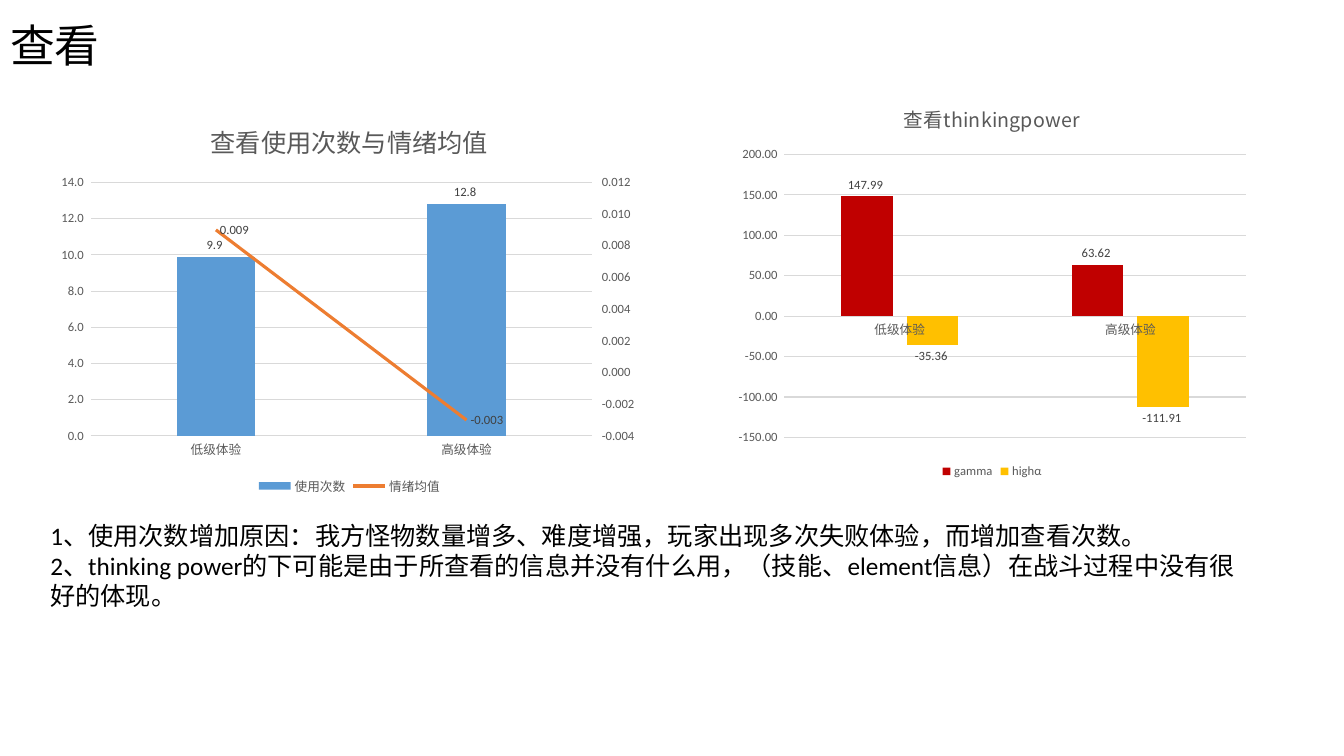
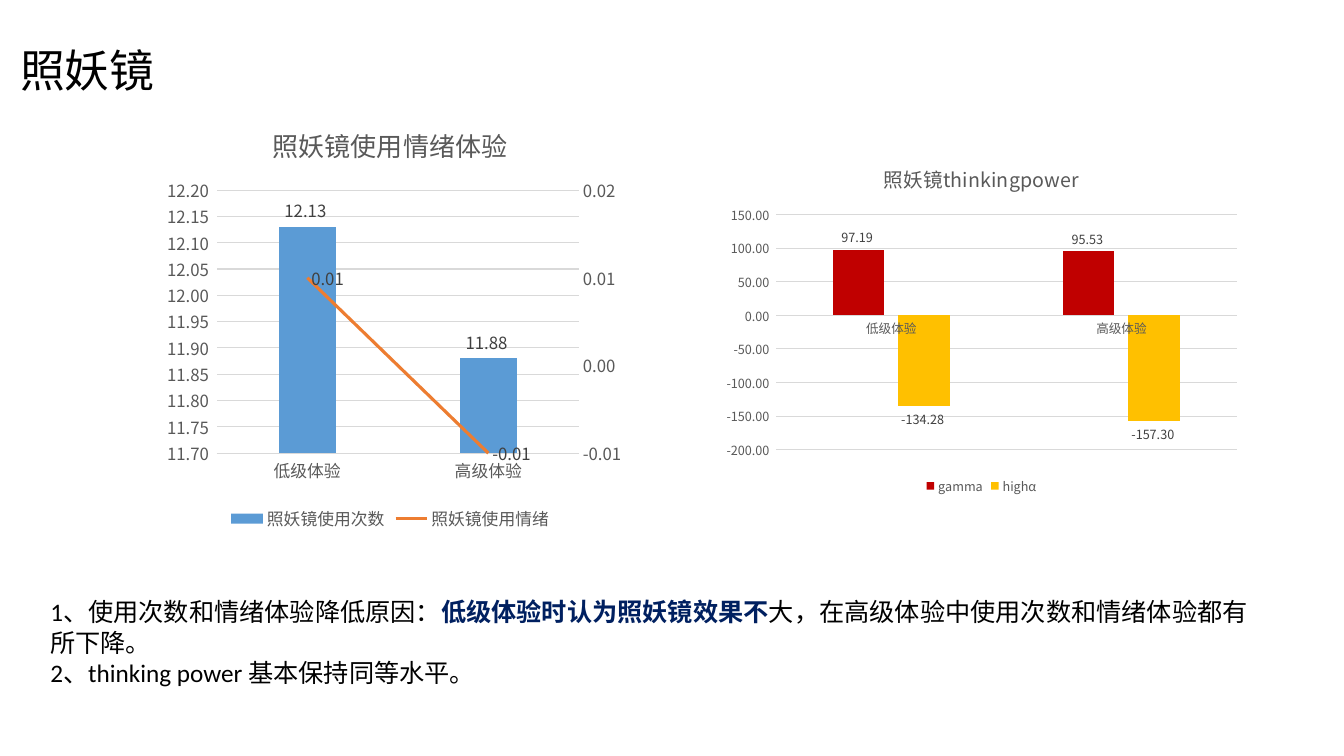
from copy import deepcopy

from lxml.etree import SubElement
from pptx import Presentation
from pptx.chart.axis import CategoryAxis as CatAxis, ValueAxis as ValAxis
from pptx.chart.data import CategoryChartData as ChartData
from pptx.dml.color import RGBColor as Rgb
from pptx.enum.chart import (
    XL_CHART_TYPE as Kind,
    XL_LABEL_POSITION as Pos,
    XL_LEGEND_POSITION as Side,
    XL_MARKER_STYLE as Mark,
    XL_TICK_MARK as Tick,
)
from pptx.enum.text import MSO_ANCHOR as Anchor, MSO_AUTO_SIZE as Fit, PP_ALIGN as Align
from pptx.oxml.ns import qn
from pptx.util import Inches, Pt

HUES = {
    "text": "000000", "navy": "002060", "axis": "595959", "label": "404040",
    "grid": "D9D9D9", "blue": "5B9BD5", "orange": "ED7D31",
    "red": "C00000", "gold": "FFC000",
}
LATIN, HAN = "Calibri", "Noto Sans CJK SC"
LEVELS = ("低级体验", "高级体验")
POWER = ("gamma", "highα")


def hue(name):
    return Rgb.from_string(HUES[name])


def style(font, face, size, color):
    font.name = face
    font.size = Pt(size)
    font.color.rgb = hue(color)
    font.bold = False


def node(parent, tag, val=None):
    item = SubElement(parent, qn(tag))
    if val is not None:
        item.set("val", str(val))
    return item


def add_title(slide, text, box):
    title = slide.shapes.title
    title.left, title.top, title.width, title.height = map(Inches, box)
    frame = title.text_frame
    frame.text = text
    frame.auto_size = Fit.NONE
    frame.vertical_anchor = Anchor.MIDDLE
    line = frame.paragraphs[0]
    line.alignment = Align.LEFT
    line.line_spacing = 0.9
    style(line.runs[0].font, HAN, 32, "text")


def add_notes(slide, top, lines):
    """Write paragraphs; each is a list of runs, the odd ones stressed."""
    box = slide.shapes.add_textbox(Inches(0.4), Inches(top), Inches(12.09), Inches(1.01))
    frame = box.text_frame
    frame.word_wrap = True
    for i, parts in enumerate(lines):
        para = frame.add_paragraph() if i else frame.paragraphs[0]
        for j, part in enumerate(parts):
            run = para.add_run()
            run.text = part
            style(run.font, LATIN, 18, "navy" if j % 2 else "text")
            run.font.bold = bool(j % 2)


def set_scale(axis, scale):
    axis.minimum_scale, axis.maximum_scale, axis.major_unit = scale


def set_format(item, code):
    item.number_format = code
    item.number_format_is_linked = False


def set_labels(series, face, size, code, pos):
    labels = series.data_labels
    labels.show_value = True
    labels.position = pos
    set_format(labels, code)
    style(labels.font, face, size, "label")


def set_axes(chart, face, size, code, scale):
    cat, val = chart.category_axis, chart.value_axis
    for axis in (cat, val):
        axis.major_tick_mark = axis.minor_tick_mark = Tick.NONE
        style(axis.tick_labels.font, face, size, "axis")
    val.format.line.fill.background()
    set_format(val.tick_labels, code)
    set_scale(val, scale)
    for line in (cat.format.line, val.major_gridlines.format.line):
        line.color.rgb = hue("grid")
        line.width = Pt(0.75)


def add_bars(slide, box, title, names, rows, colors, scale, face,
             size=9, head=14, code="0.00_ "):
    data = ChartData()
    data.categories = LEVELS
    for name, row in zip(names, rows):
        data.add_series(name, row)
    chart = slide.shapes.add_chart(Kind.COLUMN_CLUSTERED, *map(Inches, box), data).chart
    style(chart.font, face, 10, "text")
    frame = chart.chart_title.text_frame
    frame.text = title
    style(frame.paragraphs[0].runs[0].font, HAN, head, "axis")
    chart.has_legend = True
    chart.legend.position = Side.BOTTOM
    chart.legend.include_in_layout = False
    style(chart.legend.font, face, size, "axis")
    set_axes(chart, face, size, code, scale)
    plot = chart.plots[0]
    plot.gap_width, plot.overlap = 219, -27
    plot.vary_by_categories = False
    for series, color in zip(plot.series, colors):
        series.invert_if_negative = False
        series.format.fill.solid()
        series.format.fill.fore_color.rgb = hue(color)
        set_labels(series, face, size, code, Pos.OUTSIDE_END)
    return chart


def split_line(chart, scale, code, tick):
    """Turn the second series into a line with its own right-hand axis."""
    area = chart.element.find(".//" + qn("c:plotArea"))
    bars = area.find(qn("c:barChart"))
    series = bars.findall(qn("c:ser"))[1]
    for tag in ("c:invertIfNegative", "c:spPr", "c:dLbls"):
        series.remove(series.find(qn(tag)))
    lines = node(area, "c:lineChart")
    bars.addnext(lines)
    node(lines, "c:grouping", "standard")
    node(lines, "c:varyColors", 0)
    lines.append(series)
    node(lines, "c:marker", 1)

    ids = {"c:catAx": "5001", "c:valAx": "5002"}
    pair = []
    last = area.find(qn("c:valAx"))
    for tag, other in (("c:catAx", "c:valAx"), ("c:valAx", "c:catAx")):
        axis = deepcopy(area.find(qn(tag)))
        axis.find(qn("c:axId")).set("val", ids[tag])
        axis.find(qn("c:crossAx")).set("val", ids[other])
        node(lines, "c:axId", ids[tag])
        last.addnext(axis)
        last = axis
        pair.append(axis)
    CatAxis(pair[0]).visible = False
    right = pair[1]
    right.find(qn("c:axPos")).set("val", "r")
    right.find(qn("c:crosses")).set("val", "max")
    val = ValAxis(right)
    val.has_major_gridlines = False
    val.major_tick_mark = tick
    set_format(val.tick_labels, code)
    set_scale(val, scale)


def add_combo(slide, box, title, names, rows, scales, codes, face, size, head, tick):
    chart = add_bars(slide, box, title, names, rows, ("blue", "orange"),
                     scales[0], face, size, head, codes[0])
    split_line(chart, scales[1], codes[1], tick)
    series = chart.plots[1].series[0]
    series.smooth = False
    series.marker.style = Mark.NONE
    series.format.line.color.rgb = hue("orange")
    series.format.line.width = Pt(2.25)
    set_labels(series, face, size, codes[1], Pos.RIGHT)
    return chart


def place_plot(chart, box):
    """Fix the inner plot area, in fractions of the chart."""
    area = chart.element.find(".//" + qn("c:plotArea"))
    old = area.find(qn("c:layout"))
    if old is not None:
        area.remove(old)
    layout = node(area, "c:layout")
    area.insert(0, layout)
    manual = node(layout, "c:manualLayout")
    node(manual, "c:layoutTarget", "inner")
    for key in "xy":
        node(manual, f"c:{key}Mode", "edge")
    for key, val in zip("xywh", box):
        node(manual, f"c:{key}", val)


def add_view(deck):
    slide = deck.slides.add_slide(deck.slide_layouts[5])
    add_title(slide, "查看", (0, 0.11, 11.5, 0.74))
    add_bars(slide, (7.22, 0.85, 5.24, 3.94), "查看thinkingpower", POWER,
             ((147.99, 63.62), (-35.36, -111.91)), ("red", "gold"),
             (-150, 200, 50), LATIN)
    add_combo(slide, (0.49, 1.01, 5.95, 3.94), "查看使用次数与情绪均值",
              ("使用次数", "情绪均值"), ((9.9, 12.8), (0.009, -0.003)),
              ((0, 14, 2), (-0.004, 0.012, 0.002)), ("0.0_ ", "0.000_ "),
              LATIN, 9, 18, Tick.OUTSIDE)
    add_notes(slide, 5.11, [
        ["1、使用次数增加原因：我方怪物数量增多、难度增强，玩家出现多次失败体验，而增加查看次数。"],
        ["2、thinking power的下可能是由于所查看的信息并没有什么用，"
         "（技能、element信息）在战斗过程中没有很好的体现。"],
    ])


def add_mirror(deck):
    slide = deck.slides.add_slide(deck.slide_layouts[5])
    add_title(slide, "照妖镜", (0.1, 0, 11.5, 1.45))
    chart = add_combo(slide, (1.34, 1.03, 5.06, 4.28), "照妖镜使用情绪体验",
                      ("照妖镜使用次数", "照妖镜使用情绪"), ((12.13, 11.88), (0.01, -0.01)),
                      ((11.7, 12.2, 0.05), (-0.01, 0.02, 0.01)), ("0.00_ ", "0.00_ "),
                      HAN, 12, 18.6, Tick.NONE)
    place_plot(chart, (0.16, 0.2, 0.71, 0.61))
    add_bars(slide, (7.1, 1.45, 5.27, 3.5), "照妖镜thinkingpower", POWER,
             ((97.19, 95.53), (-134.28, -157.3)), ("red", "gold"),
             (-200, 150, 50), HAN)
    add_notes(slide, 5.87, [
        ["1、使用次数和情绪体验降低原因：", "低级体验时认为照妖镜效果不",
         "大，在高级体验中使用次数和情绪体验都有所下降。"],
        ["2、thinking power 基本保持同等水平。"],
    ])


def main():
    deck = Presentation()
    deck.slide_width, deck.slide_height = Inches(13.33), Inches(7.5)
    add_view(deck)
    add_mirror(deck)
    deck.save("out.pptx")


if __name__ == "__main__":
    main()
